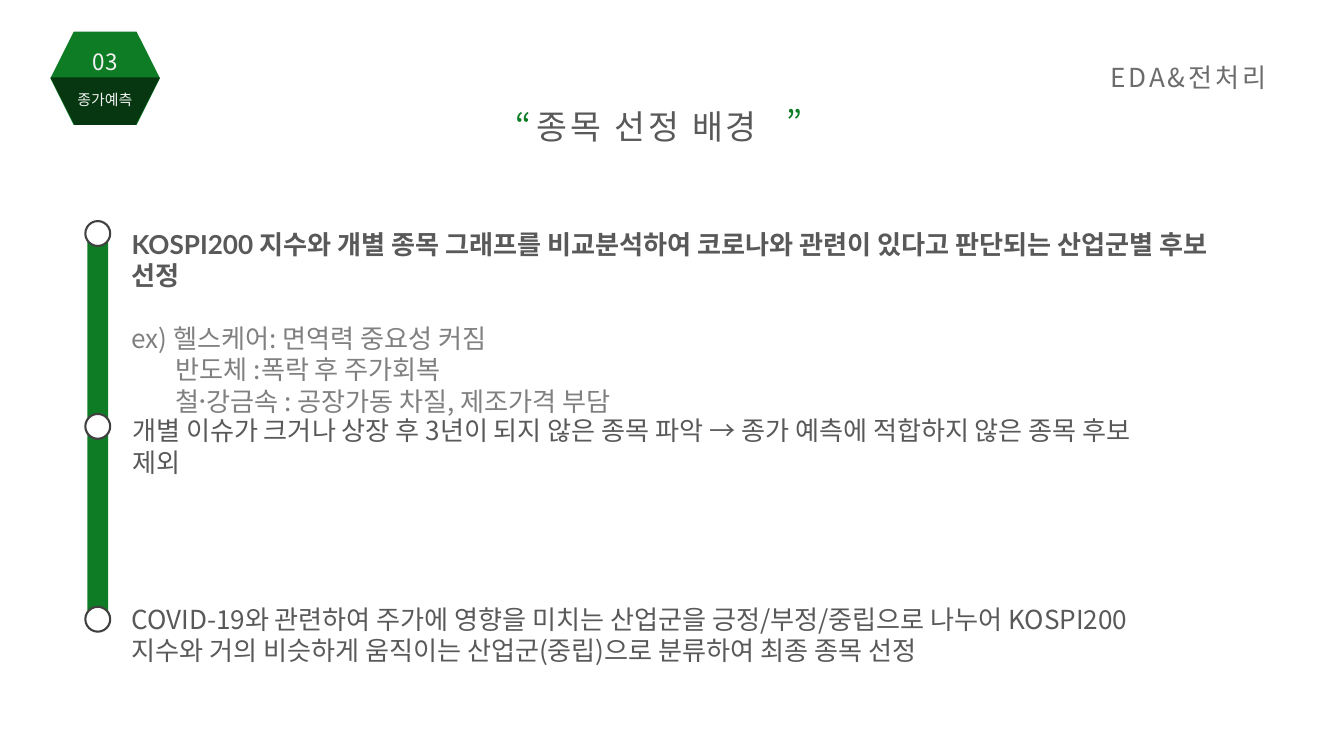
import pptx
import pptx.dml.color
import pptx.enum.shapes
import pptx.enum.text
import pptx.oxml.ns
import pptx.util
from lxml import etree

Inches = pptx.util.Inches
Pt = pptx.util.Pt
SHAPE = pptx.enum.shapes.MSO_SHAPE
ALIGN = pptx.enum.text.PP_ALIGN
qn = pptx.oxml.ns.qn

COLORS = {
    "green": "0E7C25",
    "black": "000000",
    "white": "FFFFFF",
    "pale": "F2F2F2",
    "outline": "404040",
    "body": "595959",
    "muted": "808080",
    "header": "6C6C6C",
}
KOREAN = "Noto Sans CJK KR"
LINE = 1.2
BODY = {"size": Pt(28), "name": KOREAN, "bold": False}
HEADING = {"size": Pt(28), "name": "Lato", "bold": True}
TITLE = {"size": Pt(36), "name": KOREAN}


def rgb(name):
    return pptx.dml.color.RGBColor.from_string(COLORS[name])


def paint(sp, fill, line=None):
    sp.shadow.inherit = False
    sp.fill.solid()
    sp.fill.fore_color.rgb = rgb(fill)
    if line:
        sp.line.color.rgb = rgb(line)
        sp.line.width = Pt(2.25)
    else:
        sp.line.fill.background()


def add_preset(s, kind, box, fill, line=None):
    sp = s.shapes.add_shape(kind, *map(Inches, box))
    paint(sp, fill, line)
    return sp


def add_shade(s, points, alpha):
    start, *rest = [(Inches(x), Inches(y)) for x, y in points]
    builder = s.shapes.build_freeform(*start)
    builder.add_line_segments(rest, close=True)
    sp = builder.convert_to_shape()
    paint(sp, "black")
    color = sp.fill._xPr.find(".//" + qn("a:srgbClr"))
    etree.SubElement(color, qn("a:alpha"), val=str(alpha * 1000))


def add_text(s, box, wrap=True):
    tf = s.shapes.add_textbox(*map(Inches, box)).text_frame
    tf.word_wrap = wrap
    return tf


def write(p, text, font, color, align=None, spacing=LINE, tracking=0,
          before=0, indent=0):
    p.alignment = align
    p.line_spacing = Pt(font["size"].pt * spacing)
    if before:
        p.space_before = Pt(before)
    if indent:
        p._p.get_or_add_pPr().set("marL", str(Inches(indent)))
    r = p.add_run()
    r.text = text
    for key, value in font.items():
        setattr(r.font, key, value)
    r.font.color.rgb = rgb(color)
    rPr = r._r.get_or_add_rPr()
    etree.SubElement(rPr, qn("a:ea"), typeface=KOREAN)
    if tracking:
        rPr.set("spc", str(tracking * 100))


def add_label(s, box, text, font, color, wrap=True, **layout):
    tf = add_text(s, box, wrap)
    write(tf.paragraphs[0], text, font, color, **layout)


def add_badge(s):
    add_preset(s, SHAPE.HEXAGON, (0.75, 0.47, 1.63, 1.39), "green")
    add_shade(s, [(0.75, 1.15), (2.38, 1.15), (2.02, 1.86), (1.11, 1.86)], 55)
    for box, text, size in [
        ((0.97, 1.16, 1.18, 0.47), "종가예측", 16),
        ((0.81, 0.46, 1.51, 0.66), "03", 24),
    ]:
        add_label(s, box, text, {"size": Pt(size), "name": KOREAN}, "pale",
                  align=ALIGN.CENTER, spacing=1.5 * LINE)


def add_title(s):
    add_label(s, (7.89, 1.53, 3.8, 0.71), "종목 선정 배경", TITLE, "body",
              wrap=False, tracking=3)
    for left, top, mark in [(7.58, 1.51, "“"), (11.61, 1.47, "”")]:
        add_label(s, (left, top, 0.44, 0.71), mark, TITLE, "green", wrap=False)


def add_timeline(s):
    bar = add_preset(s, SHAPE.ROUNDED_RECTANGLE, (1.3, 3.29, 0.31, 6.1), "green")
    bar.adjustments[0] = 0.5
    for i in range(3):
        add_preset(s, SHAPE.OVAL, (1.27, 3.29 + 2.87 * i, 0.37, 0.37),
                   "white", "outline")


def add_selection(s):
    tf = add_text(s, (1.86, 3.35, 16.87, 2.46))
    write(tf.paragraphs[0],
          "KOSPI200 지수와 개별 종목 그래프를 비교분석하여 코로나와 관련이 있다고 "
          "판단되는 산업군별 후보 선정", HEADING, "body")
    for text, layout in [
        ("ex) 헬스케어: 면역력 중요성 커짐", {"before": 33.6}),
        ("반도체 :폭락 후 주가회복", {"indent": 0.66}),
        ("철강〮금속 : 공장가동 차질, 제조가격 부담", {"indent": 0.66}),
    ]:
        write(tf.add_paragraph(), text, BODY, "muted", **layout)


def main():
    prs = pptx.Presentation()
    prs.slide_width = Inches(20)
    prs.slide_height = Inches(11.25)
    s = prs.slides.add_slide(prs.slide_layouts[6])
    add_badge(s)
    add_title(s)
    add_selection(s)
    add_timeline(s)
    add_label(s, (1.87, 6.12, 15.67, 0.57),
              "개별 이슈가 크거나 상장 후 3년이 되지 않은 종목 파악 → "
              "종가 예측에 적합하지 않은 종목 후보 제외", BODY, "body")
    add_label(s, (1.86, 8.93, 15.37, 1.04),
              "COVID-19와 관련하여 주가에 영향을 미치는 산업군을 긍정/부정/중립으로 나누어 "
              "KOSPI200 지수와 거의 비슷하게 움직이는 산업군(중립)으로 분류하여 "
              "최종 종목 선정", BODY, "body")
    add_label(s, (16.03, 0.87, 3.31, 0.57), "EDA&전처리", BODY, "header",
              align=ALIGN.CENTER, tracking=3)
    prs.save("out.pptx")


if __name__ == "__main__":
    main()
